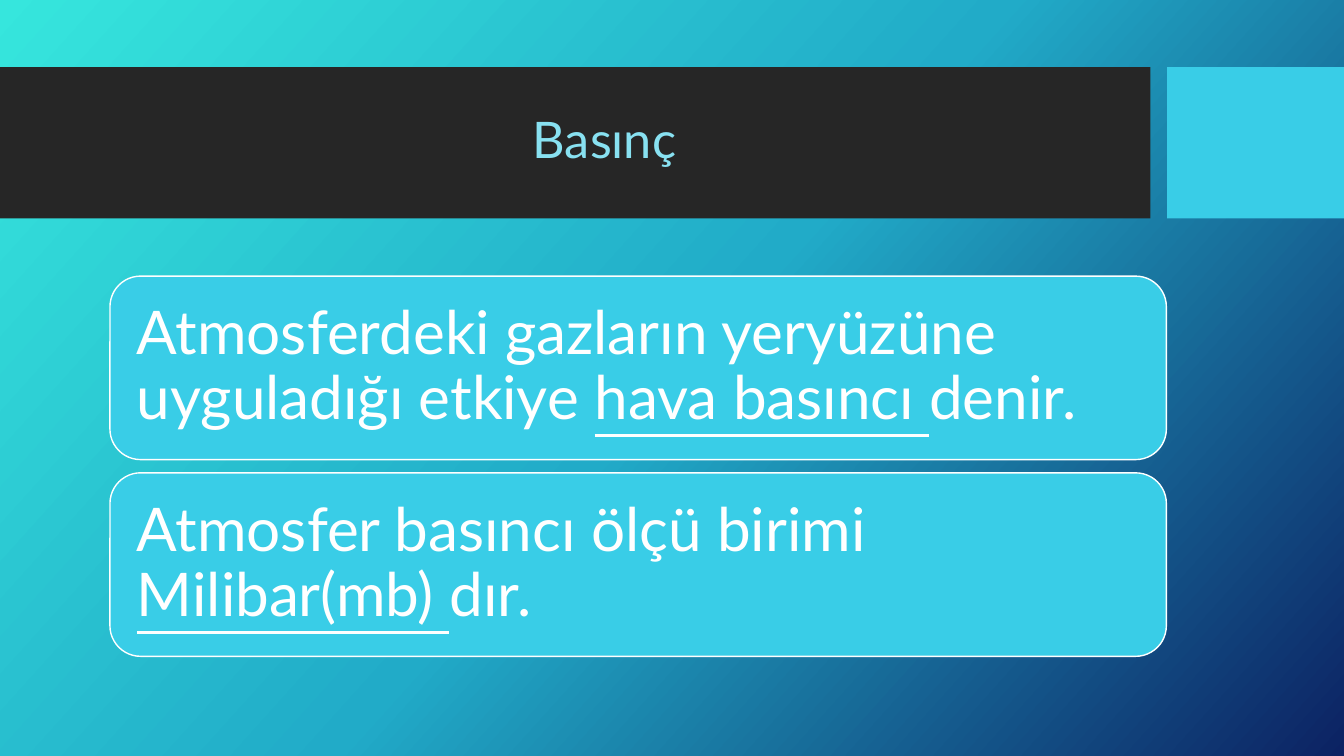
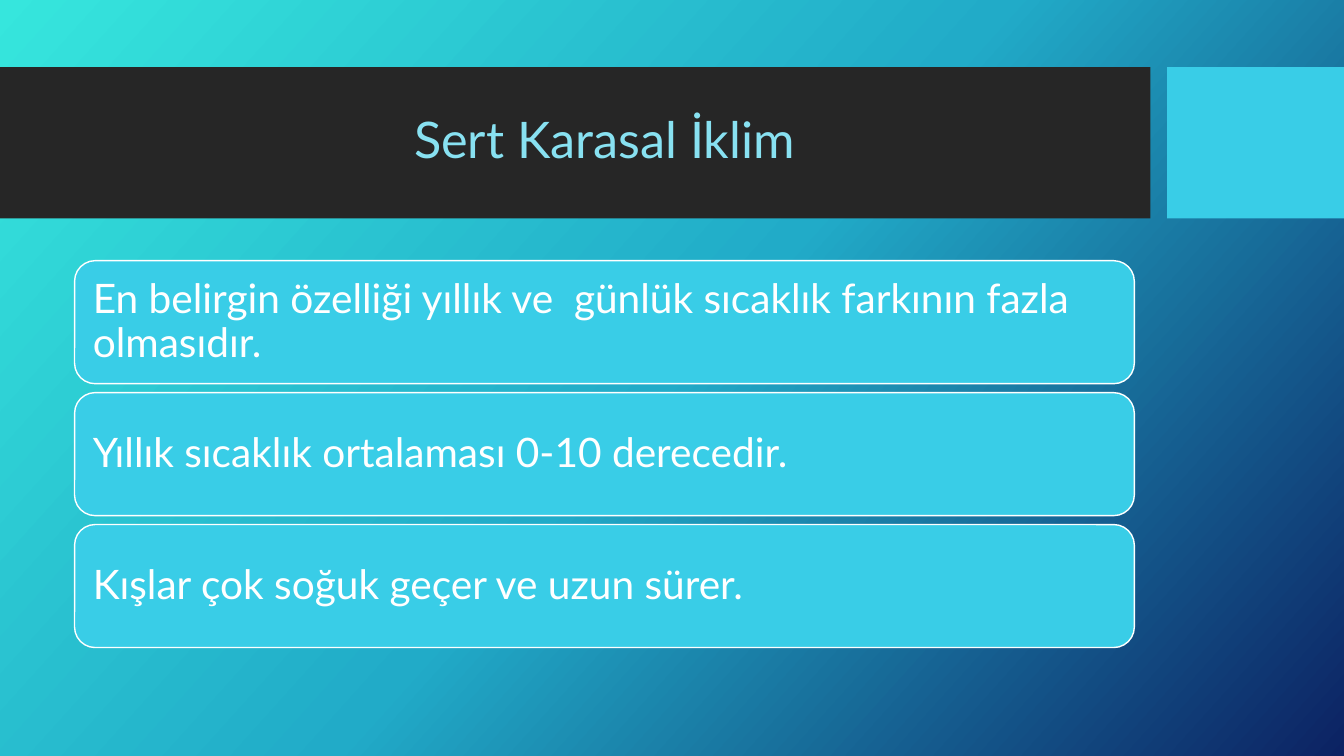
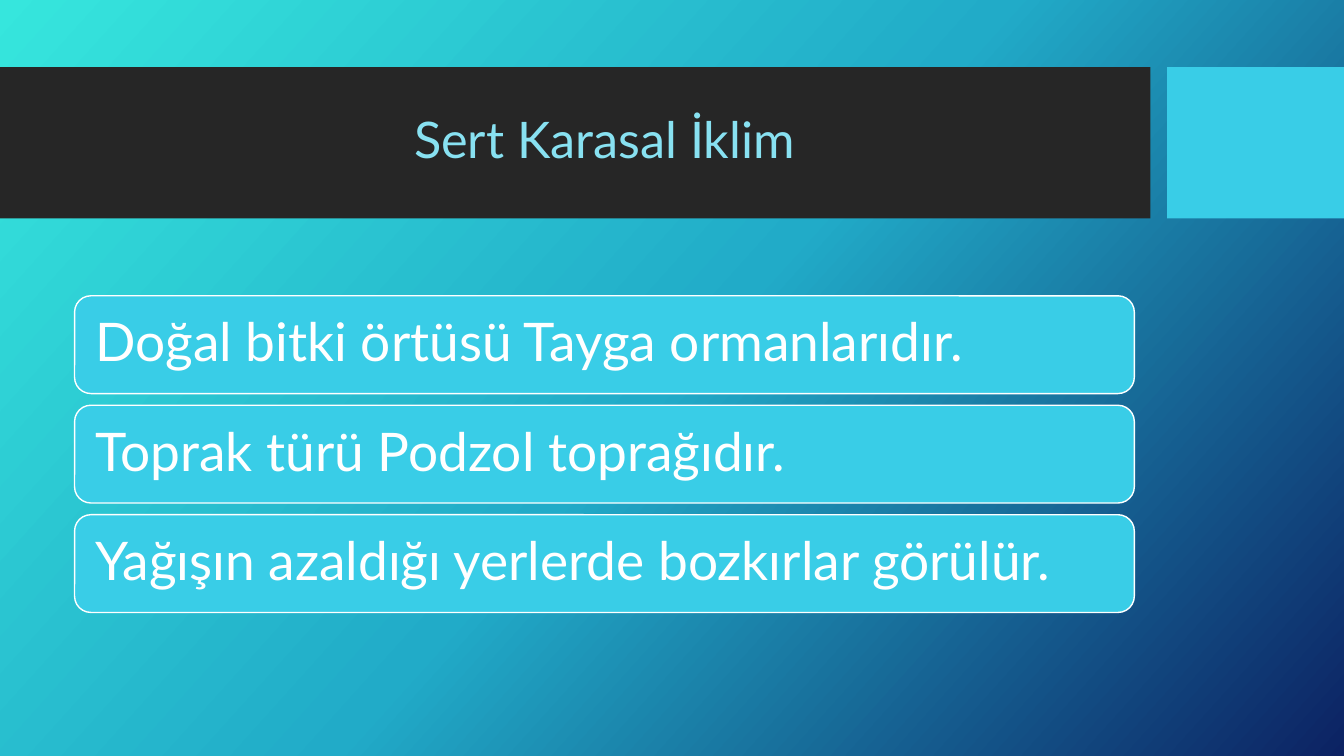
from copy import deepcopy

from pptx import Presentation
from pptx.dml.color import RGBColor
from pptx.enum.shapes import MSO_SHAPE
from pptx.enum.text import MSO_ANCHOR, PP_ALIGN
from pptx.oxml.ns import qn
from pptx.util import Inches, Pt

COLORS = {
    "sky_start": "36E6DD",
    "sky_middle": "21ABC8",
    "sky_end": "0C2263",
    "band": "262626",
    "accent": "39CDE7",
    "title": "88E1F1",
    "white": "FFFFFF",
}

prs = Presentation()
prs.slide_width, prs.slide_height = Inches(13.33), Inches(7.5)
# Every position is counted on a grid of 100 columns by 100 rows.
COL, ROW = prs.slide_width / 100, prs.slide_height / 100

BAND_TOP, BAND_HEIGHT = 8.9, 20
BAND_WIDTH, ACCENT_LEFT = 85.6, 86.85
TITLE_FORMAT = {"name": "Lato", "size": Pt(36)}
TITLE_MARGINS = {
    "margin_left": int(6.3 * COL),
    "margin_right": int(1.95 * COL),
    "margin_top": int(2.7 * ROW),
    "margin_bottom": int(2.9 * ROW),
}

LESSONS = [
    {
        "title": "Basınç",
        "left": 8.18, "width": 78.6, "middle": 61.67, "height": 24.27, "size": 43,
        "cards": [
            [("Atmosferdeki gazların yeryüzüne uyguladığı etkiye ", False),
             ("hava basıncı ", True), ("denir.", False)],
            [("Atmosfer basıncı ölçü birimi ", False),
             ("Milibar(mb) ", True), ("dır.", False)],
        ],
    },
    {
        "title": "Sert Karasal İklim",
        "left": 5.55, "width": 78.85, "middle": 60.07, "height": 16.27, "size": 29,
        "cards": [
            [("En belirgin özelliği yıllık ve  günlük sıcaklık farkının fazla olmasıdır.", False)],
            [("Yıllık sıcaklık ortalaması 0-10 derecedir.", False)],
            [("Kışlar çok soğuk geçer ve uzun sürer.", False)],
        ],
    },
    {
        "title": "Sert Karasal İklim",
        "left": 5.55, "width": 78.85, "middle": 60.07, "height": 12.93, "size": 38,
        "cards": [
            [("Doğal bitki örtüsü Tayga ormanlarıdır.", False)],
            [("Toprak türü Podzol toprağıdır.", False)],
            [("Yağışın azaldığı yerlerde bozkırlar görülür.", False)],
        ],
    },
]


def add_block(slide, preset, left, top, width, height, fill):
    """Add a filled shape without outline or shadow, placed in grid units."""
    block = slide.shapes.add_shape(
        preset, int(left * COL), int(top * ROW), int(width * COL), int(height * ROW))
    block.shadow.inherit = False
    block.fill.solid()
    block.fill.fore_color.rgb = RGBColor.from_string(COLORS[fill])
    block.line.fill.background()
    return block


def write(block, runs, font_format, color, align, margins):
    """Write (text, underlined) runs as one paragraph, centred vertically."""
    frame = block.text_frame
    frame.word_wrap = True
    frame.vertical_anchor = MSO_ANCHOR.MIDDLE
    for side, margin in margins.items():
        setattr(frame, side, margin)
    paragraph = frame.paragraphs[0]
    paragraph.alignment = align
    paragraph.line_spacing = 0.9
    for text, underlined in runs:
        run = paragraph.add_run()
        run.text = text
        run.font.underline = underlined
        run.font.color.rgb = RGBColor.from_string(COLORS[color])
        for attribute, setting in font_format.items():
            setattr(run.font, attribute, setting)


# The master carries the sky gradient for all slides.
sky = prs.slide_master.background.fill
sky.gradient()
sky.gradient_angle = 360 - 42
stops = prs.slide_master.element.find(".//" + qn("a:gsLst"))
stops.append(deepcopy(stops[0]))
for stop, position, shade in zip(
        sky.gradient_stops, (0, 0.5, 1), ("sky_start", "sky_middle", "sky_end")):
    stop.position = position
    stop.color.rgb = RGBColor.from_string(COLORS[shade])

blank = prs.slide_layouts[6]
for lesson in LESSONS:
    slide = prs.slides.add_slide(blank)
    title_band = add_block(
        slide, MSO_SHAPE.RECTANGLE, 0, BAND_TOP, BAND_WIDTH, BAND_HEIGHT, "band")
    write(title_band, [(lesson["title"], False)], TITLE_FORMAT, "title",
          PP_ALIGN.CENTER, TITLE_MARGINS)
    add_block(slide, MSO_SHAPE.RECTANGLE, ACCENT_LEFT, BAND_TOP,
              100 - ACCENT_LEFT, BAND_HEIGHT, "accent")

    # Gaps and insets follow the text size; the stack is centred on its middle row.
    text_size = Pt(lesson["size"])
    card_format = {"name": "Lato", "size": text_size}
    inset = int(0.3 * text_size)
    card_margins = {f"margin_{side}": inset for side in ("left", "right", "top", "bottom")}
    pitch = lesson["height"] + 0.22 * text_size / ROW
    first_middle = lesson["middle"] - pitch * (len(lesson["cards"]) - 1) / 2
    for index, sentence in enumerate(lesson["cards"]):
        top = first_middle + index * pitch - lesson["height"] / 2
        card = add_block(slide, MSO_SHAPE.ROUNDED_RECTANGLE, lesson["left"], top,
                         lesson["width"], lesson["height"], "accent")
        card.line.color.rgb = RGBColor.from_string(COLORS["white"])
        card.line.width = Pt(1)
        write(card, sentence, card_format, "white", PP_ALIGN.LEFT, card_margins)

prs.save("out.pptx")
